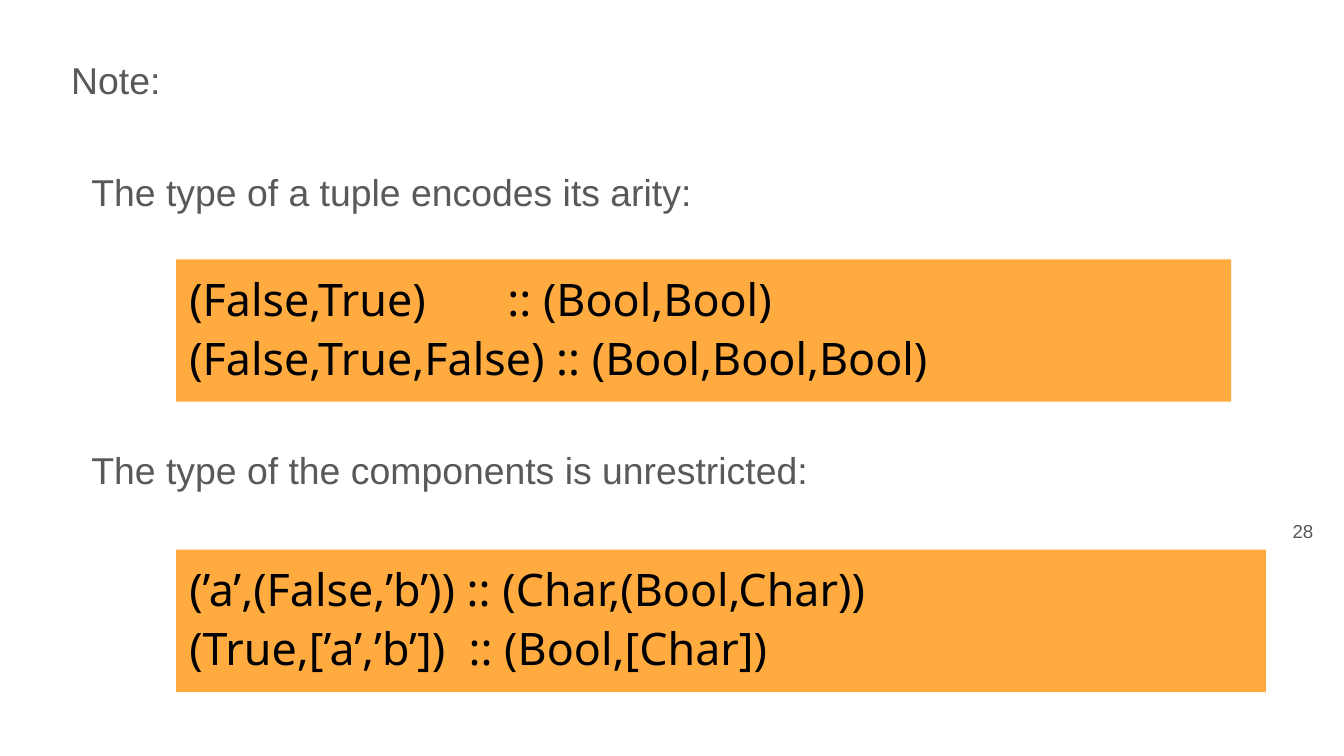
from pptx import Presentation
from pptx import util as u
from pptx.dml.color import RGBColor
from pptx.enum import shapes, text
from pptx.oxml.ns import qn
from lxml import etree

GREY = RGBColor(0x59, 0x59, 0x59)
BLACK = RGBColor(0, 0, 0)
ORANGE = RGBColor(0xFF, 0xAB, 0x40)

TWO_CONTENT = 3
SLIDE_WIDTH = u.Inches(10)
SLIDE_HEIGHT = SLIDE_WIDTH * 9 // 16
CODE_LEFT, CODE_HEIGHT = 1.31, 1.06

ARITY_CODE = [
    "(False,True)       :: (Bool,Bool)",
    "(False,True,False) :: (Bool,Bool,Bool)",
]
COMPONENT_CODE = [
    "(’a’,(False,’b’)) :: (Char,(Bool,Char))",
    "(True,[’a’,’b’])  :: (Bool,[Char])",
]


def place(box, left, top, width, height):
    box.left, box.top = u.Inches(left), u.Inches(top)
    box.width, box.height = u.Inches(width), u.Inches(height)


def remove_bullet(para):
    properties = para._p.get_or_add_pPr()
    properties.set("marL", "0")
    properties.set("indent", "0")
    etree.SubElement(properties, qn("a:buNone"))


def write(box, lines, size=20, font="Arial", color=GREY,
          align=text.PP_ALIGN.LEFT, anchor=text.MSO_ANCHOR.TOP,
          spacing=1.0, fit=text.MSO_AUTO_SIZE.NONE):
    frame = box.text_frame
    frame.word_wrap = True
    frame.auto_size = fit
    frame.vertical_anchor = anchor
    frame.margin_left = frame.margin_right = u.Inches(0.1)
    frame.margin_top = frame.margin_bottom = u.Inches(0.05)
    frame.text = "\n".join(lines)
    for para in frame.paragraphs:
        remove_bullet(para)
        para.alignment = align
        para.line_spacing = spacing
        para.space_before = para.space_after = u.Pt(0)
        for span in para.runs:
            span.font.size = u.Pt(size)
            span.font.name = font
            span.font.color.rgb = color


def add_code(page, lines, top, width):
    box = page.shapes.add_shape(
        shapes.MSO_SHAPE.RECTANGLE, u.Inches(CODE_LEFT), u.Inches(top),
        u.Inches(width), u.Inches(CODE_HEIGHT))
    box.shadow.inherit = False
    box.fill.solid()
    box.fill.fore_color.rgb = ORANGE
    box.line.fill.background()
    write(box, lines, size=24, font="Noto Sans", color=BLACK, spacing=1.1,
          fit=text.MSO_AUTO_SIZE.TEXT_TO_FIT_SHAPE)


def add_page_number(page, number):
    box = page.shapes.add_textbox(
        u.Inches(9.27), u.Inches(3.82), u.Inches(0.6), u.Inches(0.32))
    write(box, [number], size=10, align=text.PP_ALIGN.RIGHT)


def main():
    deck = Presentation()
    deck.slide_width, deck.slide_height = SLIDE_WIDTH, SLIDE_HEIGHT
    page = deck.slides.add_slide(deck.slide_layouts[TWO_CONTENT])
    title, arity, components = page.placeholders

    place(title, 0.43, 0.38, 1.15, 0.43)
    write(title, ["Note:"], anchor=text.MSO_ANCHOR.BOTTOM)

    place(arity, 0.58, 1.09, 8.96, 0.55)
    write(arity, ["The type of a tuple encodes its arity:"],
          anchor=text.MSO_ANCHOR.BOTTOM)
    add_code(page, ARITY_CODE, top=1.93, width=7.85)

    place(components, 0.58, 3.28, 8.96, 0.52)
    write(components, ["The type of the components is unrestricted:"])
    add_code(page, COMPONENT_CODE, top=4.09, width=8.11)

    add_page_number(page, "28")
    deck.save("out.pptx")


if __name__ == "__main__":
    main()
